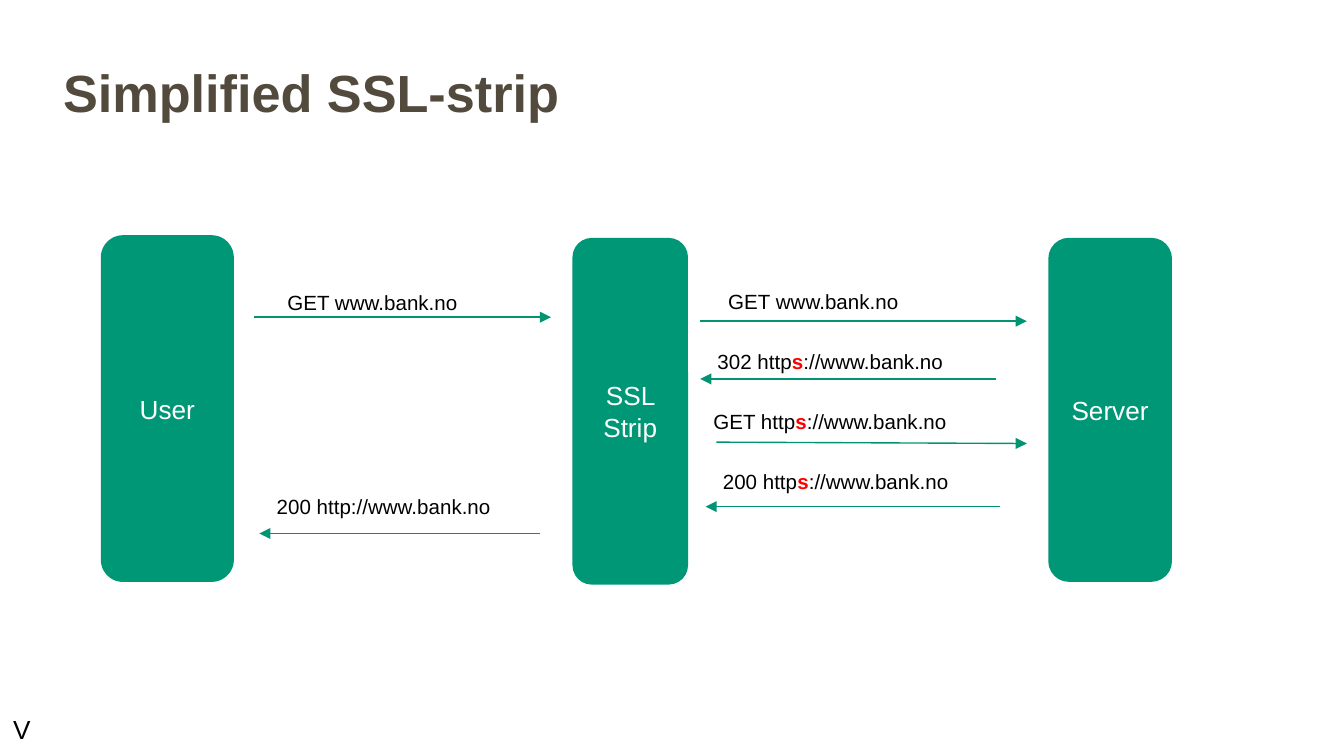
from lxml import etree
from pptx import Presentation
from pptx.dml.color import RGBColor
from pptx.enum.shapes import MSO_CONNECTOR, MSO_SHAPE
from pptx.enum.text import MSO_ANCHOR, PP_ALIGN
from pptx.oxml.ns import qn
from pptx.util import Inches, Pt

COLORS = {
    "title": "524B3D",
    "party": "009776",
    "arrow": "009473",
    "text": "000000",
    "secure": "FF0000",
    "white": "FFFFFF",
}

# Name, left, top, width, height
PARTIES = [
    ("User", 0.75, 1.75, 0.99, 2.58),
    ("SSL Strip", 4.26, 1.77, 0.86, 2.58),
    ("Server", 7.8, 1.77, 0.92, 2.56),
]

# Text, label left, top and width, arrow start, arrow end
MESSAGES = [
    ("GET www.bank.no", (2.04, 2.11, 1.9), (1.89, 2.36), (4.1, 2.36)),
    ("GET www.bank.no", (5.32, 2.1, 2.09), (5.21, 2.39), (7.64, 2.39)),
    ("302 https://www.bank.no", (5.24, 2.55, 2.4), (7.41, 2.82), (5.21, 2.82)),
    ("GET https://www.bank.no", (5.21, 2.99, 2.44), (5.33, 3.29), (7.64, 3.3)),
    ("200 https://www.bank.no", (5.28, 3.44, 2.39), (7.44, 3.77), (5.25, 3.77)),
    ("200 http://www.bank.no", (1.96, 3.63, 2.18), (4.02, 3.97), (1.93, 3.97)),
]


def color(name):
    return RGBColor.from_string(COLORS[name])


def format_run(run, size, color_name, bold=False):
    run.font.name = "Arial"
    run.font.size = Pt(size)
    run.font.bold = bold
    run.font.color.rgb = color(color_name)


def add_text(shapes, text, left, top, width, height, size, color_name="text", bold=False):
    box = shapes.add_textbox(Inches(left), Inches(top), Inches(width), Inches(height))
    box.text_frame.word_wrap = True
    paragraph = box.text_frame.paragraphs[0]
    paragraph.text = text
    format_run(paragraph.runs[0], size, color_name, bold)
    return box


def add_party(shapes, name, left, top, width, height):
    shape = shapes.add_shape(
        MSO_SHAPE.ROUNDED_RECTANGLE,
        Inches(left), Inches(top), Inches(width), Inches(height))
    shape.shadow.inherit = False
    shape.fill.solid()
    shape.fill.fore_color.rgb = color("party")
    shape.line.fill.background()
    shape.text_frame.word_wrap = True
    shape.text_frame.vertical_anchor = MSO_ANCHOR.MIDDLE
    paragraph = shape.text_frame.paragraphs[0]
    paragraph.text = name
    paragraph.alignment = PP_ALIGN.CENTER
    format_run(paragraph.runs[0], 14, "white")


def add_arrow(shapes, start, end):
    arrow = shapes.add_connector(
        MSO_CONNECTOR.STRAIGHT, *(Inches(value) for value in start + end))
    arrow.line.color.rgb = color("arrow")
    arrow.line.width = Pt(0.75)
    line = arrow.line._get_or_add_ln()
    etree.SubElement(line, qn("a:tailEnd"), type="triangle")
    etree.SubElement(arrow._element.spPr, qn("a:effectLst"))


def add_message(shapes, text, label, start, end):
    group = shapes.add_group_shape()
    add_arrow(group.shapes, start, end)
    before, secure, after = text.partition("https")
    first_part = before + "http" if secure else before
    box = add_text(group.shapes, first_part, *label, 0.29, 11)
    if secure:
        # The s of https stands out
        paragraph = box.text_frame.paragraphs[0]
        for part, color_name, bold in (("s", "secure", True), (after, "text", False)):
            run = paragraph.add_run()
            run.text = part
            format_run(run, 11, color_name, bold)


def main():
    # Widescreen slide, 16:9
    presentation = Presentation()
    presentation.slide_width = Inches(10)
    presentation.slide_height = Inches(10) * 9 // 16
    slide = presentation.slides.add_slide(presentation.slide_layouts[6])
    shapes = slide.shapes

    # Title
    title = add_text(shapes, "Simplified SSL-strip", 0.47, 0.45, 9.05, 0.87, 28, "title", True)
    frame = title.text_frame
    frame.margin_left = frame.margin_top = frame.margin_right = frame.margin_bottom = 0

    # Communicating parties
    for party in PARTIES:
        add_party(shapes, *party)

    # Messages between them
    for message in MESSAGES:
        add_message(shapes, *message)

    # Corner letter
    add_text(shapes, "V", 0, 5.26, 0.35, 0.34, 14)

    presentation.save("out.pptx")


if __name__ == "__main__":
    main()
